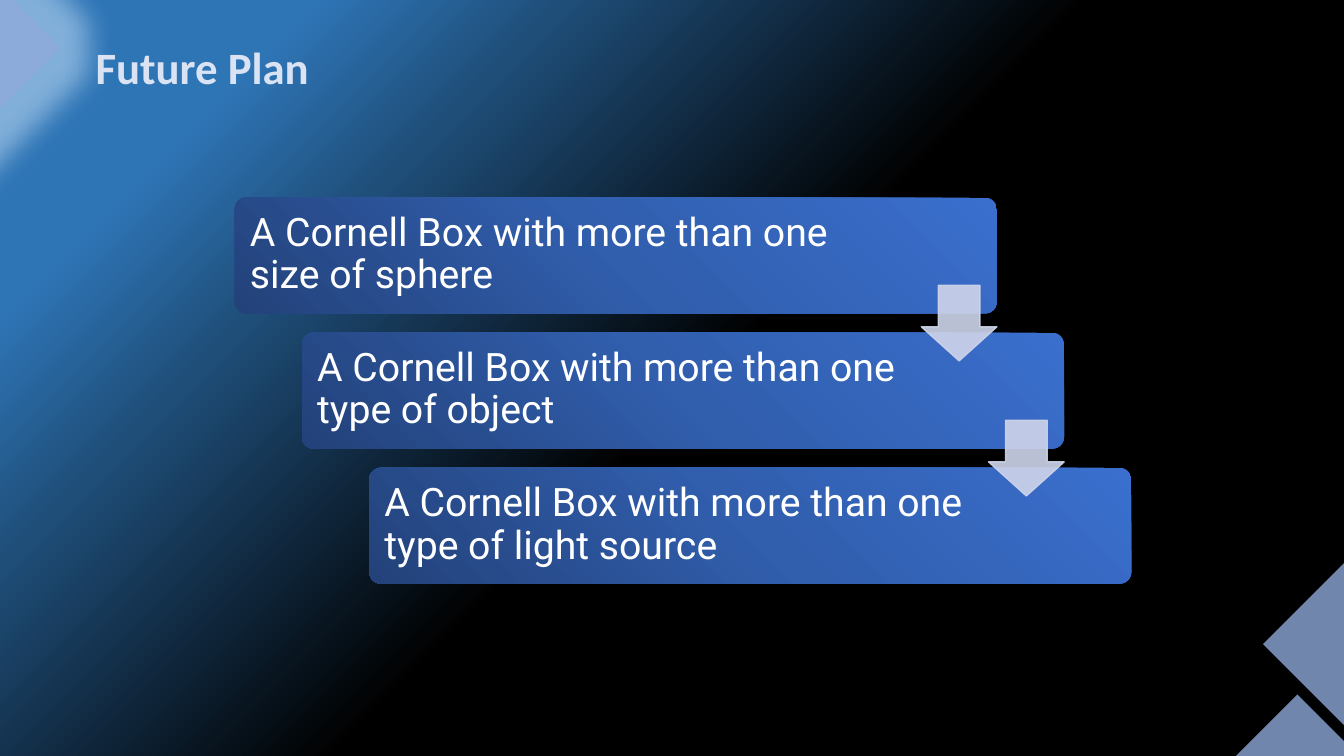
from lxml import etree
from pptx import Presentation
from pptx.dml.color import RGBColor
from pptx.enum.shapes import MSO_SHAPE
from pptx.enum.text import MSO_ANCHOR
from pptx.oxml import parse_xml
from pptx.oxml.ns import nsdecls, qn
from pptx.util import Inches, Pt

DIAMOND, BAR, ARROW = MSO_SHAPE.DIAMOND, MSO_SHAPE.ROUNDED_RECTANGLE, MSO_SHAPE.DOWN_ARROW
MIDDLE = MSO_ANCHOR.MIDDLE

TITLE = "Future Plan"
PLANS = [
    ("A Cornell Box with more than one size of sphere", 6.32),
    ("A Cornell Box with more than one type of object", 6.07),
    ("A Cornell Box with more than one type of light source", 6.07),
]
CORNER_DIAMONDS = [(12.53, 4.65, 3.48), (11.74, 6.89, 2.26), (-2.88, -1.27, 3.48)]
COLORS = {"diamond": "8FAADC", "glow": "9DC3E6", "title": "DAE3F3",
          "text": "FFFFFF", "arrow": "CFD5EA"}
BACKGROUND = [(0, "2E75B6"), (15, "2E75B6"), (27, "1F4E79"),
              (52, "000000"), (81, "000000"), (87, "000000")]
BAR_GRADIENT = [(0, "23427A"), (50, "315EAD"), (100, "3A6FCE")]
LINEAR = '<a:lin ang="2700000" scaled="0"/>'
FROM_BOTTOM_LEFT = '<a:path path="circle"><a:fillToRect t="100000" r="100000"/></a:path>'

BAR_LEFT, BAR_TOP, BAR_W, BAR_H = 2.33, 1.96, 7.56, 1.15
STEP_X, STEP_Y = 0.667, 1.34
ARROW_LEFT, ARROW_TOP, ARROW_SIZE = 9.14, 2.83, 0.75


def set_gradient(parent, stops, direction):
    """Replace the solid fill inside parent with a gradient."""
    gs = "".join(f'<a:gs pos="{pos * 1000}"><a:srgbClr val="{color}"/></a:gs>'
                 for pos, color in stops)
    grad = parse_xml(f'<a:gradFill {nsdecls("a")} rotWithShape="1">'
                     f'<a:gsLst>{gs}</a:gsLst>{direction}</a:gradFill>')
    parent.replace(parent.find(qn("a:solidFill")), grad)


def set_alpha(sp, percent):
    """Make the fill and line colours of a shape partly transparent."""
    for color in sp.element.spPr.iter(qn("a:srgbClr")):
        etree.SubElement(color, qn("a:alpha")).set("val", str(percent * 1000))


def add_shape(s, kind, left, top, width, height, color):
    """Add a flat shape without an outline."""
    sp = s.shapes.add_shape(kind, Inches(left), Inches(top), Inches(width), Inches(height))
    sp.shadow.inherit = False
    sp.fill.solid()
    sp.fill.fore_color.rgb = RGBColor.from_string(color)
    sp.line.fill.background()
    return sp


def add_text(s, text, left, top, width, height, font, size, color):
    """Add a wrapped one-paragraph text box and return its frame."""
    tf = s.shapes.add_textbox(Inches(left), Inches(top), Inches(width), Inches(height)).text_frame
    tf.word_wrap = True
    p = tf.paragraphs[0]
    p.text = text
    p.font.name, p.font.size = font, Pt(size)
    p.font.color.rgb = RGBColor.from_string(color)
    return tf


def add_plan(s, text, width, left, top):
    """Add one bar of the staircase with its text."""
    bar = add_shape(s, BAR, left, top, BAR_W, BAR_H, BAR_GRADIENT[0][1])
    bar.adjustments[0] = 0.1
    set_gradient(bar.element.spPr, BAR_GRADIENT, FROM_BOTTOM_LEFT)
    tf = add_text(s, text, left + 0.03, top + 0.03, width, 1.08, "Roboto", 28, COLORS["text"])
    tf.vertical_anchor = MIDDLE
    tf.margin_left = tf.margin_right = tf.margin_top = tf.margin_bottom = Inches(0.12)
    tf.paragraphs[0].line_spacing = 0.9


def add_arrow(s, left, top):
    """Add a translucent arrow leading to the next bar."""
    arrow = add_shape(s, ARROW, left, top, ARROW_SIZE, ARROW_SIZE, COLORS["arrow"])
    arrow.adjustments[0], arrow.adjustments[1] = 0.55, 0.45
    arrow.line.color.rgb = RGBColor.from_string(COLORS["arrow"])
    arrow.line.width = Pt(1)
    set_alpha(arrow, 90)


prs = Presentation()
prs.slide_width, prs.slide_height = Inches(13.333), Inches(7.5)
s = prs.slides.add_slide(prs.slide_layouts[6])
s.background.fill.solid()
set_gradient(s.element.find(".//" + qn("p:bgPr")), BACKGROUND, LINEAR)

for left, top, size in CORNER_DIAMONDS:
    diamond = add_shape(s, DIAMOND, left, top, size, size, COLORS["diamond"])
    set_alpha(diamond, 79)
# The last diamond, in the top left corner, glows
glow = parse_xml(f'<a:glow {nsdecls("a")} rad="{Inches(0.55)}"><a:srgbClr val="{COLORS["glow"]}">'
                 '<a:alpha val="75000"/></a:srgbClr></a:glow>')
diamond.element.spPr.find(qn("a:effectLst")).append(glow)

title = add_text(s, TITLE, 0.85, 0.34, 4.12, 0.64, "Calibri", 32, COLORS["title"])
title.paragraphs[0].font.bold = True

for i, (text, width) in enumerate(PLANS):
    add_plan(s, text, width, BAR_LEFT + i * STEP_X, BAR_TOP + i * STEP_Y)
for i in range(len(PLANS) - 1):
    add_arrow(s, ARROW_LEFT + i * STEP_X, ARROW_TOP + i * STEP_Y)

prs.save("out.pptx")
